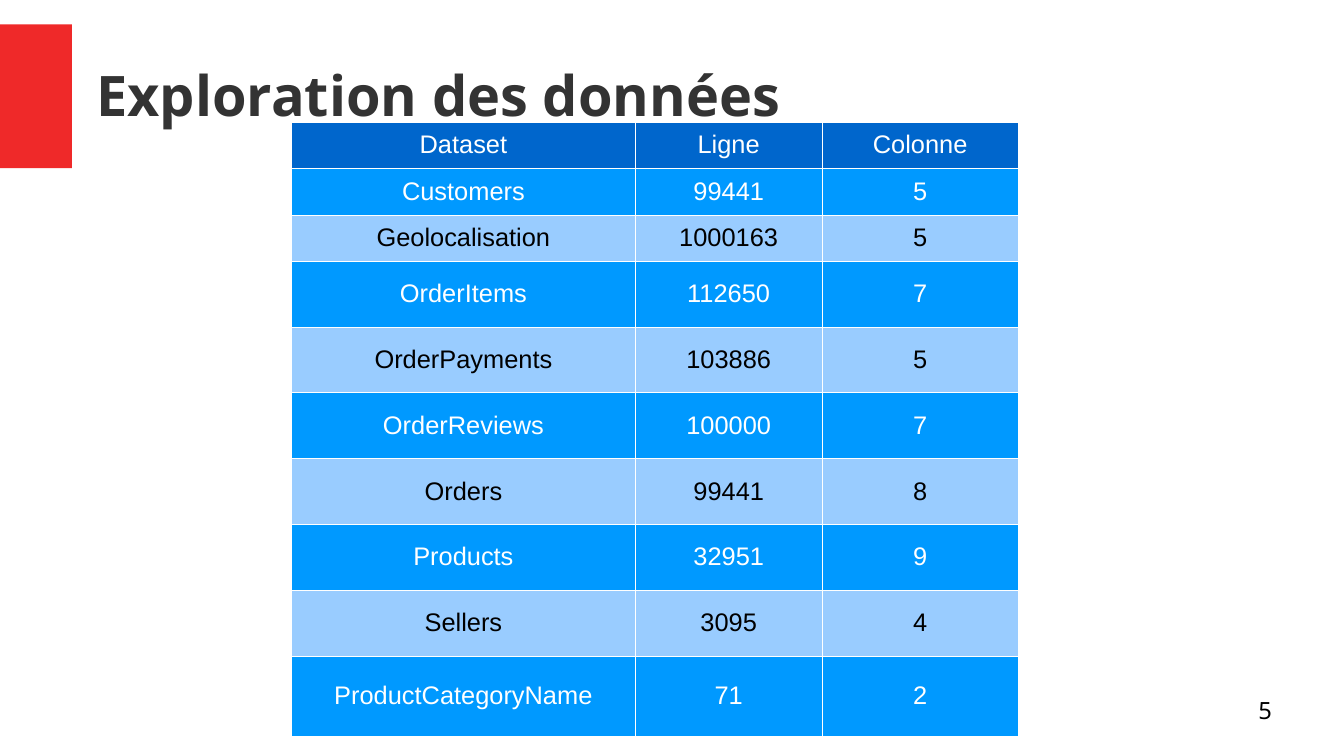
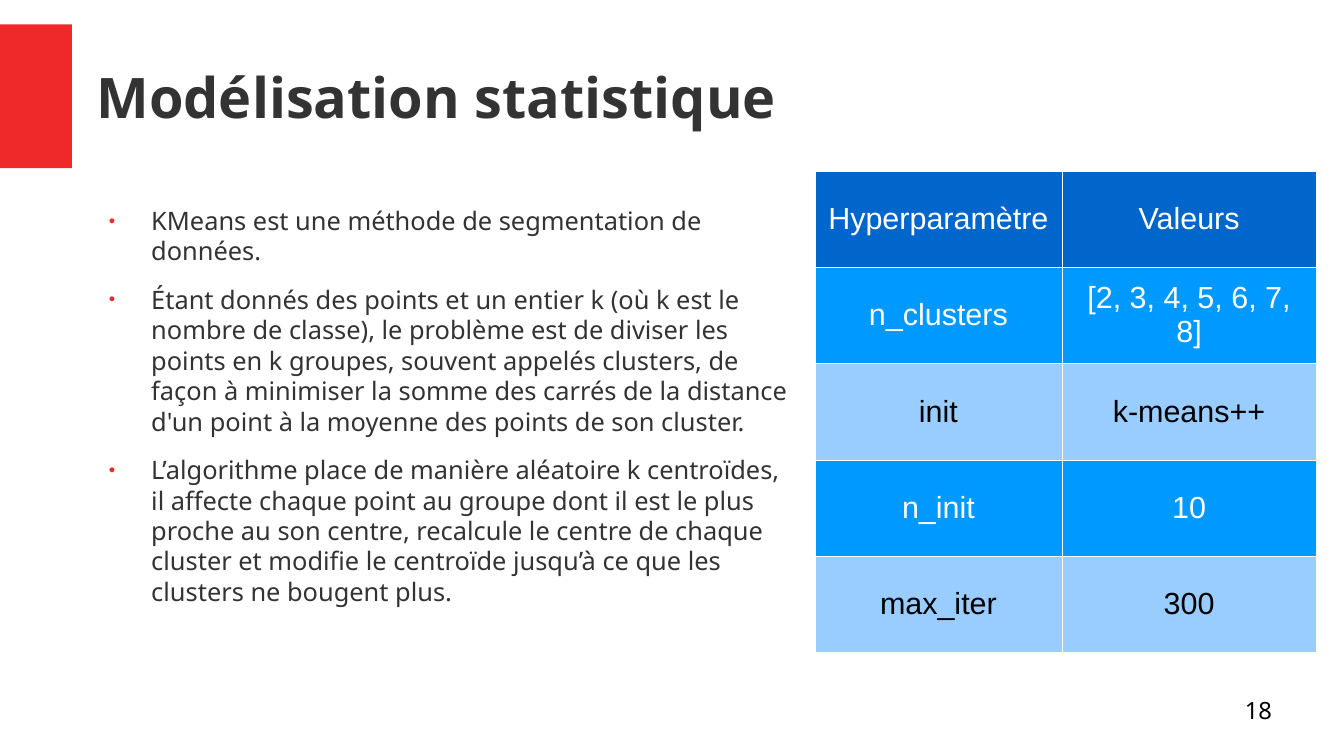
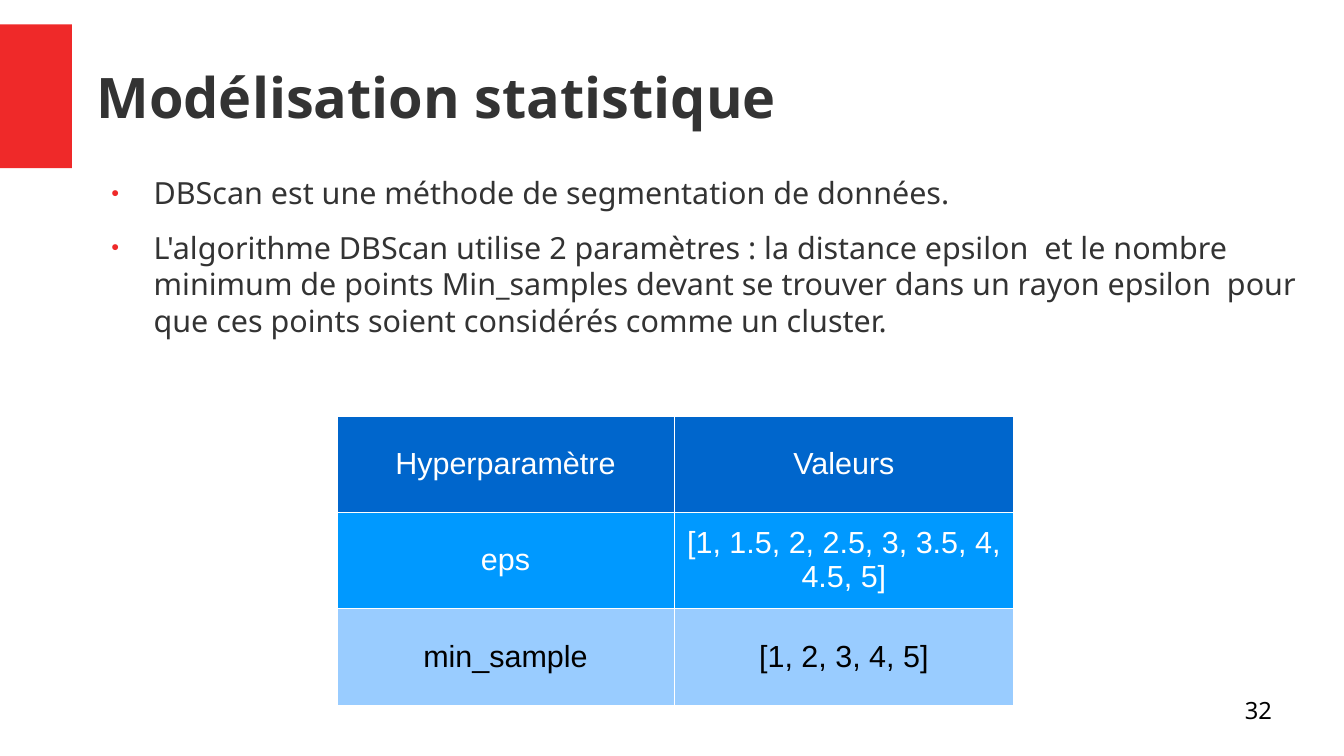
from lxml import etree
from pptx import Presentation
from pptx.dml.color import RGBColor
from pptx.enum.shapes import MSO_SHAPE
from pptx.enum.text import MSO_ANCHOR, MSO_AUTO_SIZE, PP_ALIGN
from pptx.oxml.ns import qn
from pptx.util import Inches, Pt

RECT = MSO_SHAPE.RECTANGLE
TOP, MIDDLE = MSO_ANCHOR.TOP, MSO_ANCHOR.MIDDLE
LEFT, CENTER, RIGHT = PP_ALIGN.LEFT, PP_ALIGN.CENTER, PP_ALIGN.RIGHT
NO_FIT = MSO_AUTO_SIZE.NONE

RED = RGBColor(0xEF, 0x29, 0x29)
GREY = RGBColor(0x33, 0x33, 0x33)
BLACK = RGBColor(0, 0, 0)
WHITE = RGBColor(0xFF, 0xFF, 0xFF)
NAVY = RGBColor(0, 0x66, 0xCC)
BLUE = RGBColor(0, 0x99, 0xFF)
PALE = RGBColor(0x99, 0xCC, 0xFF)
SANS, ARIAL = "Noto Sans", "Arial"

TITLE_BOX = (0.79, 0.2, 9.84, 1.18)
PARAMS = ("Hyperparamètre", "Valeurs")

# Content: boxes are left, top, width, height in inches
SLIDES = [
    {
        "title": "Exploration des données", "box": (0.79, 0.25, 9.68, 1.04),
        "page": "5",
        "table": {
            "at": (2.39, 1), "size": 15, "cols": (2.82, 1.53, 1.61),
            "heights": [0.38] * 3 + [0.54] * 6 + [0.66],
            "rows": [
                ("Dataset", "Ligne", "Colonne"),
                ("Customers", "99441", "5"),
                ("Geolocalisation", "1000163", "5"),
                ("OrderItems", "112650", "7"),
                ("OrderPayments", "103886", "5"),
                ("OrderReviews", "100000", "7"),
                ("Orders", "99441", "8"),
                ("Products", "32951", "9"),
                ("Sellers", "3095", "4"),
                ("ProductCategoryName", "71", "2"),
            ],
        },
    },
    {
        "title": "Modélisation statistique", "box": TITLE_BOX, "page": "18",
        "body": {
            "box": (0.77, 1.68, 5.73, 3.24), "size": 15,
            "items": [
                "KMeans est une méthode de segmentation de données.",
                "Étant donnés des points et un entier k (où k est le nombre de "
                "classe), le problème est de diviser les points en k groupes, "
                "souvent appelés clusters, de façon à minimiser la somme des "
                "carrés de la distance d'un point à la moyenne des points de "
                "son cluster.",
                "L’algorithme place de manière aléatoire k centroïdes, il "
                "affecte chaque point au groupe dont il est le plus proche au "
                "son centre, recalcule le centre de chaque cluster et modifie "
                "le centroïde jusqu’à ce que les clusters ne bougent plus.",
            ],
        },
        "table": {
            "at": (6.68, 1.4), "size": 18, "cols": (2.03, 2.08),
            "heights": [0.79] * 5,
            "rows": [
                PARAMS,
                ("n_clusters", "[2, 3, 4, 5, 6, 7, 8]"),
                ("init", "k-means++"),
                ("n_init", "10"),
                ("max_iter", "300"),
            ],
        },
    },
    {
        "title": "Modélisation statistique", "box": TITLE_BOX, "page": "32",
        "body": {
            "box": (0.79, 1.43, 9.84, 3.29), "size": 18,
            "items": [
                "DBScan est une méthode de segmentation de données.",
                "L'algorithme DBScan utilise 2 paramètres : la distance "
                "epsilon  et le nombre minimum de points Min_samples devant se "
                "trouver dans un rayon epsilon  pour que ces points soient "
                "considérés comme un cluster.",
            ],
        },
        "table": {
            "at": (2.76, 3.41), "size": 18, "cols": (2.77, 2.78),
            "heights": [0.79] * 3,
            "rows": [
                PARAMS,
                ("eps", "[1, 1.5, 2, 2.5, 3, 3.5, 4, 4.5, 5]"),
                ("min_sample", "[1, 2, 3, 4, 5]"),
            ],
        },
    },
]


def inches(nums):
    return [Inches(num) for num in nums]


def add_run(para, text, size, color, face=SANS, bold=False):
    run = para.add_run()
    run.text = text
    font = run.font
    font.size, font.name, font.bold = Pt(size), face, bold
    font.color.rgb = color


def set_frame(shape, box, anchor):
    """Place a text shape and clear its margins."""
    shape.left, shape.top, shape.width, shape.height = inches(box)
    frame = shape.text_frame
    frame.margin_left = frame.margin_right = 0
    frame.margin_top = frame.margin_bottom = 0
    frame.word_wrap = True
    frame.auto_size = NO_FIT
    frame.vertical_anchor = anchor
    return frame


def add_bullet(para):
    props = para._p.get_or_add_pPr()
    props.set("marL", str(Inches(0.47)))
    props.set("indent", str(Inches(-0.35)))
    color = etree.SubElement(props, qn("a:buClr"))
    etree.SubElement(color, qn("a:srgbClr"), val=str(RED))
    etree.SubElement(props, qn("a:buSzPct"), val="45000")
    etree.SubElement(props, qn("a:buChar"), char="●")


def add_body(shape, box, size, items):
    frame = set_frame(shape, box, TOP)
    for i, item in enumerate(items):
        para = frame.add_paragraph() if i else frame.paragraphs[0]
        add_bullet(para)
        para.alignment = LEFT
        para.space_before, para.space_after = Pt(0), Pt(10.6)
        add_run(para, item, size, GREY)


def add_edges(cell):
    props = cell._tc.get_or_add_tcPr()
    for side in ("lnL", "lnR", "lnT", "lnB"):
        line = etree.SubElement(props, qn("a:" + side), w=str(Pt(0.06)))
        fill = etree.SubElement(line, qn("a:solidFill"))
        etree.SubElement(fill, qn("a:srgbClr"), val=str(WHITE))


def add_grid(slide, at, size, cols, heights, rows):
    extent = inches((*at, sum(cols), sum(heights)))
    table = slide.shapes.add_table(len(rows), len(cols), *extent).table
    for col, width in zip(table.columns, cols):
        col.width = Inches(width)
    for r, (texts, height) in enumerate(zip(rows, heights)):
        table.rows[r].height = Inches(height)
        # Header first, then bands in turn
        back = NAVY if r == 0 else BLUE if r % 2 else PALE
        ink = BLACK if back == PALE else WHITE
        for c, text in enumerate(texts):
            cell = table.cell(r, c)
            add_edges(cell)
            cell.fill.solid()
            cell.fill.fore_color.rgb = back
            cell.vertical_anchor = MIDDLE
            para = cell.text_frame.paragraphs[0]
            para.alignment = CENTER
            add_run(para, text, size, ink, ARIAL)


def add_band(slide, master):
    """Draw the red band once and move it to the master."""
    band = slide.shapes.add_shape(RECT, *inches((0, 0.2, 0.59, 1.18)))
    band.shadow.inherit = False
    band.fill.solid()
    band.fill.fore_color.rgb = RED
    band.line.fill.background()
    master.shapes._spTree.insert(2, band._element)


def add_slide(deck, data):
    body = data.get("body")
    slide = deck.slides.add_slide(deck.slide_layouts[1 if body else 5])
    # Title
    para = set_frame(slide.shapes.title, data["box"], MIDDLE).paragraphs[0]
    para.alignment = LEFT
    add_run(para, data["title"], 33, GREY, bold=True)
    # List and table
    if body:
        add_body(slide.placeholders[1], **body)
    add_grid(slide, **data["table"])
    # Page number
    box = (7.87, 5.71, 2.56, 0.43)
    number = slide.shapes.add_textbox(*inches(box))
    para = set_frame(number, box, TOP).paragraphs[0]
    para.alignment = RIGHT
    add_run(para, data["page"], 14, BLACK)


def main():
    deck = Presentation()
    deck.slide_width, deck.slide_height = inches((11.02, 6.2))
    for data in SLIDES:
        add_slide(deck, data)
    add_band(deck.slides[0], deck.slide_master)
    deck.save("out.pptx")


if __name__ == "__main__":
    main()
